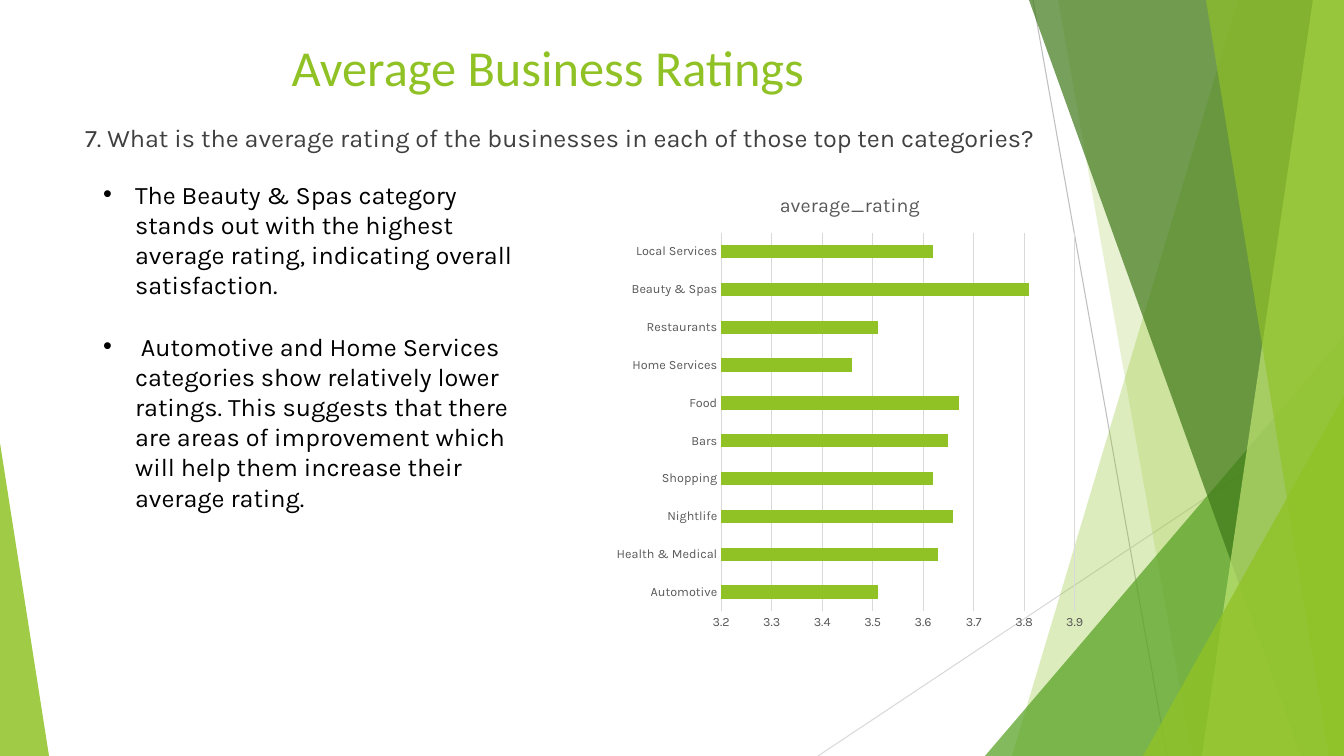
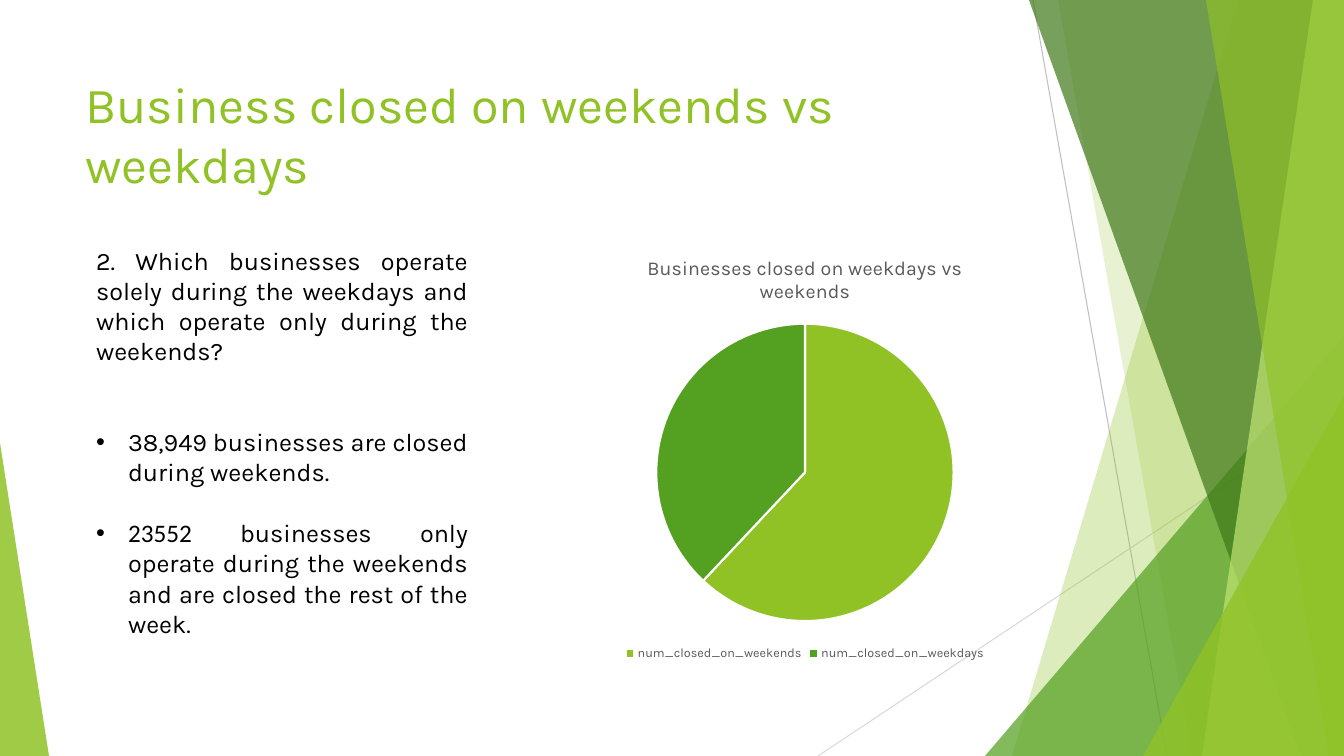
from lxml import etree
from pptx import Presentation, util as u
from pptx.chart.data import CategoryChartData
from pptx.dml.color import RGBColor
from pptx.enum import chart as ch, shapes, text
from pptx.oxml.ns import qn

LIME = RGBColor(0x90, 0xC2, 0x26)
GREEN = RGBColor(0x54, 0xA0, 0x21)
FOREST = RGBColor(0x3F, 0x78, 0x19)
PALE_LIME = RGBColor(0xC0, 0xE4, 0x74)
BLACK = RGBColor(0, 0, 0)
WHITE = RGBColor(0xFF, 0xFF, 0xFF)
DARK_GREY = RGBColor(0x40, 0x40, 0x40)
CHART_GREY = RGBColor(0x59, 0x59, 0x59)
MID_GREY = RGBColor(0xBF, 0xBF, 0xBF)
LIGHT_GREY = RGBColor(0xD9, 0xD9, 0xD9)
FONT = "Karla"
WIDTH, HEIGHT = 1344, 756
EMU_PER_PX = 914400 / 100.8
HANG = 32


def px(*lengths):
    return [u.Emu(round(length * EMU_PER_PX)) for length in lengths]


def write(frame, paragraphs, size, colour, align=text.PP_ALIGN.LEFT, font=FONT):
    """Fill a placeholder; each paragraph is (words, bulleted, points before)."""
    frame.word_wrap = True
    frame.auto_size = text.MSO_AUTO_SIZE.NONE
    frame.vertical_anchor = text.MSO_ANCHOR.TOP
    for i, (words, bulleted, before) in enumerate(paragraphs):
        paragraph = frame.add_paragraph() if i else frame.paragraphs[0]
        paragraph.text = words
        paragraph.alignment = align
        paragraph.space_before = u.Pt(before)
        indent = px(HANG)[0] if bulleted else 0
        properties = paragraph._p.get_or_add_pPr()
        properties.set("marL", str(indent))
        properties.set("indent", str(-indent))
        if bulleted:
            etree.SubElement(properties, qn("a:buFont")).set("typeface", "Arial")
            etree.SubElement(properties, qn("a:buChar")).set("char", "•")
        else:
            etree.SubElement(properties, qn("a:buNone"))
        paragraph.font.name = font
        paragraph.font.size = u.Pt(size)
        paragraph.font.color.rgb = colour


deck = Presentation()
deck.slide_width, deck.slide_height = px(WIDTH, HEIGHT)
ratings = deck.slides.add_slide(deck.slide_layouts[3])
closures = deck.slides.add_slide(deck.slide_layouts[1])

# Backdrop: drawn once, then moved to the master behind its placeholders
backdrop = []
for ends, colour in (((1033, 0, 1167, HEIGHT), MID_GREY),
                     ((WIDTH, 406, 818, HEIGHT), LIGHT_GREY)):
    hairline = ratings.shapes.add_connector(shapes.MSO_CONNECTOR.STRAIGHT, *px(*ends))
    hairline.line.color.rgb = colour
    hairline.line.width = u.Pt(0.75)
    etree.SubElement(hairline._element.spPr, qn("a:effectLst"))
    backdrop.append(hairline)

# Bands give their left edge at top and bottom; triangles give box and apex
for geometry, colour, opacity in (
    ((1238, 1012), LIME, 30),
    ((1058, 1192), LIME, 20),
    ((985, 336, 359, 420, 1), GREEN, 72),
    ((1029, 1301), FOREST, 70),
    ((1313, 1202), PALE_LIME, 70),
    ((1206, 1329), LIME, 65),
    ((1143, 396, 201, 360, 1), LIME, 80),
    ((0, 443, 49, 313, 0), LIME, 85),
):
    if len(geometry) == 2:
        top_x, bottom_x = geometry
        outline = ratings.shapes.build_freeform(top_x, 0, EMU_PER_PX)
        outline.add_line_segments([(WIDTH, 0), (WIDTH, HEIGHT), (bottom_x, HEIGHT)])
        facet = outline.convert_to_shape()
    else:
        *box, apex = geometry
        facet = ratings.shapes.add_shape(shapes.MSO_SHAPE.ISOSCELES_TRIANGLE, *px(*box))
        facet.adjustments[0] = apex
    facet.shadow.inherit = False
    facet.line.fill.background()
    facet.fill.solid()
    facet.fill.fore_color.rgb = colour
    tint = facet._element.spPr.find(".//" + qn("a:srgbClr"))
    etree.SubElement(tint, qn("a:alpha")).set("val", str(opacity * 1000))
    backdrop.append(facet)

master_tree = deck.slide_master.shapes._spTree
for i, part in enumerate(backdrop):
    part._element.find(".//" + qn("p:cNvPr")).set("id", str(100 + i))
    master_tree.insert(2 + i, part._element)

# Titles and body text
question, findings = ratings.placeholders[1], ratings.placeholders[2]
closure_notes = closures.placeholders[1]
for part, box in (
    (ratings.shapes.title, (74, 31, 948, 75)),
    (question, (75, 117, 998, 625)),
    (findings, (93, 174, 455, 499)),
    (closures.shapes.title, (75, 68, 948, 145)),
    (closure_notes, (86, 240, 392, 377)),
):
    part.left, part.top, part.width, part.height = px(*box)

write(ratings.shapes.title.text_frame, [("Average Business Ratings", False, 0)],
      36, LIME, text.PP_ALIGN.CENTER, "Calibri")
write(question.text_frame, [
    ("7. What is the average rating of the businesses in each of those top ten "
     "categories?", False, 0),
], 18, DARK_GREY)
write(findings.text_frame, [
    ("The Beauty & Spas category stands out with the highest average rating, "
     "indicating overall satisfaction.", True, 0),
    (" Automotive and Home Services categories show relatively lower ratings. This "
     "suggests that there are areas of improvement which will help them increase "
     "their average rating.", True, 22),
], 18, BLACK)
write(closures.shapes.title.text_frame,
      [("Business closed on weekends vs weekdays", False, 0)], 36, LIME)
write(closure_notes.text_frame, [
    ("2. Which businesses operate solely during the weekdays and which operate only "
     "during the weekends?", False, 0),
    ("38,949 businesses are closed during weekends.", True, 43),
    ("23552 ", True, 22),
], 18, BLACK, text.PP_ALIGN.JUSTIFY)
weekend_only = closure_notes.text_frame.paragraphs[-1]
weekend_only.runs[0].font.name = "Calibri"
weekend_only.add_run().text = ("businesses only operate during the weekends and are "
                               "closed the rest of the week.")

# Charts
rating_by_category = {
    "Automotive": 3.51, "Health & Medical": 3.63, "Nightlife": 3.66,
    "Shopping": 3.62, "Bars": 3.65, "Food": 3.67, "Home Services": 3.46,
    "Restaurants": 3.51, "Beauty & Spas": 3.81, "Local Services": 3.62,
}
closed_share = {"num_closed_on_weekends": 62, "num_closed_on_weekdays": 38}
charts = []
for slide, kind, box, series_name, values, title in (
    (ratings, ch.XL_CHART_TYPE.BAR_CLUSTERED, (607, 174, 486, 465),
     "average_rating", rating_by_category, "average_rating"),
    (closures, ch.XL_CHART_TYPE.PIE, (587, 238, 436, 427),
     "Series 1", closed_share, "Businesses closed on weekdays vs weekends"),
):
    data = CategoryChartData()
    data.categories = list(values)
    data.add_series(series_name, list(values.values()))
    chart = slide.shapes.add_chart(kind, *px(*box), data).chart
    chart.font.name = FONT
    chart.font.size = u.Pt(9)
    chart.font.color.rgb = CHART_GREY
    chart.has_legend = False
    chart.has_title = True
    heading = chart.chart_title.text_frame.paragraphs[0]
    heading.text = title
    heading.font.name = FONT
    heading.font.size = u.Pt(14)
    heading.font.bold = False
    heading.font.color.rgb = CHART_GREY
    charts.append(chart)
rating_bars, closed_pie = charts

bars = rating_bars.plots[0]
bars.gap_width = 182
bars.vary_by_categories = False
bars.series[0].format.fill.solid()
bars.series[0].format.fill.fore_color.rgb = LIME
categories, scale = rating_bars.category_axis, rating_bars.value_axis
scale.minimum_scale, scale.maximum_scale, scale.major_unit = 3.2, 3.9, 0.1
scale.tick_labels.number_format = "0.0"
scale.tick_labels.number_format_is_linked = False
scale.format.line.fill.background()
for axis in (categories, scale):
    axis.major_tick_mark = axis.minor_tick_mark = ch.XL_TICK_MARK.NONE
for rule in (categories.format.line, scale.major_gridlines.format.line):
    rule.color.rgb = LIGHT_GREY
    rule.width = u.Pt(0.75)

closed_pie.plots[0].vary_by_categories = True
for i, colour in enumerate((LIME, GREEN)):
    slice_format = closed_pie.plots[0].series[0].points[i].format
    slice_format.fill.solid()
    slice_format.fill.fore_color.rgb = colour
    slice_format.line.color.rgb = WHITE
    slice_format.line.width = u.Pt(1.5)
closed_pie.has_legend = True
closed_pie.legend.position = ch.XL_LEGEND_POSITION.BOTTOM
closed_pie.legend.include_in_layout = False

deck.save("out.pptx")
